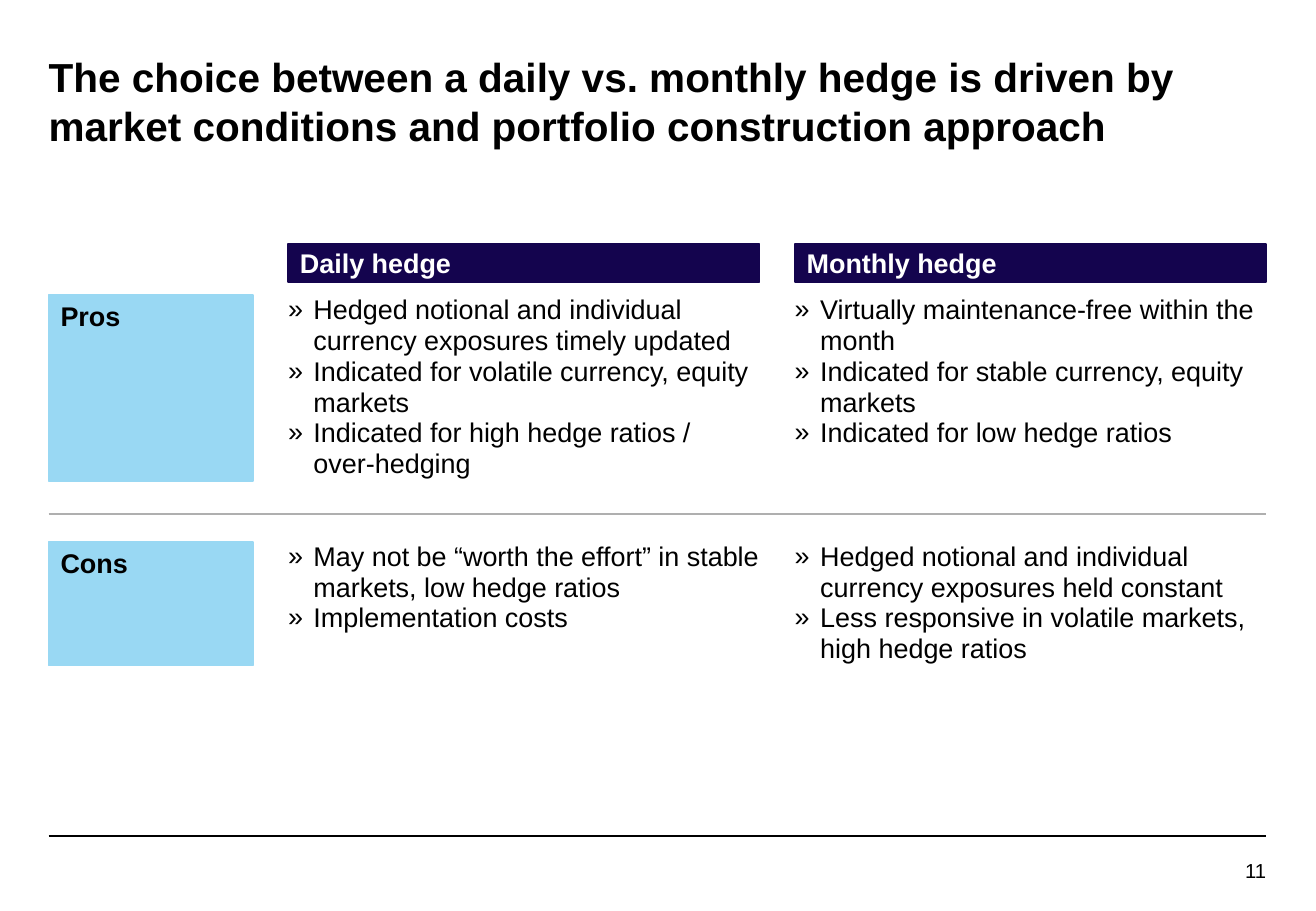
from dataclasses import dataclass

from lxml import etree
from pptx import Presentation
from pptx.dml.color import RGBColor
from pptx.enum import shapes, text
from pptx.oxml import ns
from pptx.util import Inches, Pt

FONT = "Arial"
BLACK, WHITE, NAVY, SKY, GREY = "000000", "FFFFFF", "14044E", "99D8F3", "AFAFAF"
LEFT, RIGHT = 0.4, 10.42
COLUMN_WIDTH, LABEL_WIDTH = 3.88, 1.68
HEADER_TOP, HEADER_HEIGHT = 2.01, 0.31
BULLET_INDENT = 0.21


@dataclass
class Column:
    heading: str
    left: float


@dataclass
class Row:
    label: str
    top: float
    height: float
    lists: list[list[str]]


COLUMNS = [Column("Daily hedge", 2.37), Column("Monthly hedge", 6.54)]
ROWS = [
    Row("Pros", 2.43, 1.53, [
        ["Hedged notional and individual currency exposures timely updated",
         "Indicated for volatile currency, equity markets",
         "Indicated for high hedge ratios / over-hedging"],
        ["Virtually maintenance-free within the month",
         "Indicated for stable currency, equity markets",
         "Indicated for low hedge ratios"],
    ]),
    Row("Cons", 4.46, 1.02, [
        ["May not be “worth the effort” in stable markets, low hedge ratios",
         "Implementation costs"],
        ["Hedged notional and individual currency exposures held constant",
         "Less responsive in volatile markets, high hedge ratios"],
    ]),
]


def rgb(color: str) -> RGBColor:
    return RGBColor.from_string(color)


def place(shape, left: float, top: float, width: float, height: float) -> None:
    shape.left, shape.top = Inches(left), Inches(top)
    shape.width, shape.height = Inches(width), Inches(height)


def set_frame(frame, anchor=text.MSO_ANCHOR.TOP, left: float = 0, top: float = 0) -> None:
    """Fix the frame's size, wrapping, anchor and insets."""
    frame.auto_size = text.MSO_AUTO_SIZE.NONE
    frame.word_wrap = True
    frame.vertical_anchor = anchor
    frame.margin_left, frame.margin_top = Inches(left), Inches(top)
    frame.margin_right = frame.margin_bottom = 0


def write(paragraph, words: str, size: float, color: str = BLACK, bold: bool = False,
          align=text.PP_ALIGN.LEFT, spacing: float = 1.0) -> None:
    paragraph.alignment = align
    paragraph.line_spacing = spacing
    paragraph.space_before = paragraph.space_after = Pt(0)
    run = paragraph.add_run()
    run.text = words
    run.font.name, run.font.size, run.font.bold = FONT, Pt(size), bold
    run.font.color.rgb = rgb(color)


def add_bullet(paragraph) -> None:
    properties = paragraph._p.get_or_add_pPr()
    properties.set("marL", str(Inches(BULLET_INDENT)))
    properties.set("indent", str(-Inches(BULLET_INDENT)))
    color = etree.SubElement(properties, ns.qn("a:buClr"))
    etree.SubElement(color, ns.qn("a:srgbClr"), val=BLACK)
    etree.SubElement(properties, ns.qn("a:buFont"), typeface=FONT)
    etree.SubElement(properties, ns.qn("a:buChar"), char="»")


def fill_list(placeholder, items: list[str]) -> None:
    frame = placeholder.text_frame
    set_frame(frame)
    for index, item in enumerate(items):
        paragraph = frame.add_paragraph() if index else frame.paragraphs[0]
        write(paragraph, item, 16, spacing=0.95)
        add_bullet(paragraph)


def add_block(slide, words: str, box: tuple[float, float, float, float], fill: str,
              color: str, anchor, inset_top: float = 0) -> None:
    block = slide.shapes.add_shape(shapes.MSO_SHAPE.RECTANGLE, *map(Inches, box))
    block.shadow.inherit = False
    block.fill.solid()
    block.fill.fore_color.rgb = block.line.color.rgb = rgb(fill)
    block.line.width = Pt(1)
    set_frame(block.text_frame, anchor, 0.1, inset_top)
    write(block.text_frame.paragraphs[0], words, 16, color, bold=True)


def add_rule(slide, top: float, color: str, width: float) -> None:
    rule = slide.shapes.add_connector(
        shapes.MSO_CONNECTOR.STRAIGHT, Inches(LEFT), Inches(top), Inches(RIGHT), Inches(top))
    rule.line.color.rgb, rule.line.width = rgb(color), Pt(width)
    etree.SubElement(rule._element.spPr, ns.qn("a:effectLst"))


def main() -> None:
    deck = Presentation()
    deck.slide_width, deck.slide_height = Inches(10.83), Inches(7.5)
    slide = deck.slides.add_slide(deck.slide_layouts.get_by_name("Comparison"))

    title, *list_holders = slide.placeholders
    place(title, LEFT, 0.43, RIGHT - LEFT, 0.84)
    set_frame(title.text_frame)
    write(title.text_frame.paragraphs[0],
          "The choice between a daily vs. monthly hedge is driven by "
          "market conditions and portfolio construction approach", 24, bold=True)

    for column in COLUMNS:
        add_block(slide, column.heading,
                  (column.left, HEADER_TOP, COLUMN_WIDTH, HEADER_HEIGHT),
                  NAVY, WHITE, text.MSO_ANCHOR.MIDDLE)

    holders = iter(list_holders)
    for row in ROWS:
        add_block(slide, row.label, (LEFT, row.top, LABEL_WIDTH, row.height),
                  SKY, BLACK, text.MSO_ANCHOR.TOP, 0.04)
        for column, items in zip(COLUMNS, row.lists):
            holder = next(holders)
            place(holder, column.left, row.top, COLUMN_WIDTH, row.height)
            fill_list(holder, items)

    add_rule(slide, 4.23, GREY, 1.5)
    add_rule(slide, 6.88, BLACK, 1)

    page_number = slide.shapes.add_textbox(0, 0, 0, 0)
    place(page_number, 9.53, 7.08, 0.89, 0.19)
    set_frame(page_number.text_frame)
    write(page_number.text_frame.paragraphs[0], "11", 12,
          align=text.PP_ALIGN.RIGHT, spacing=0.95)

    deck.save("out.pptx")


if __name__ == "__main__":
    main()
